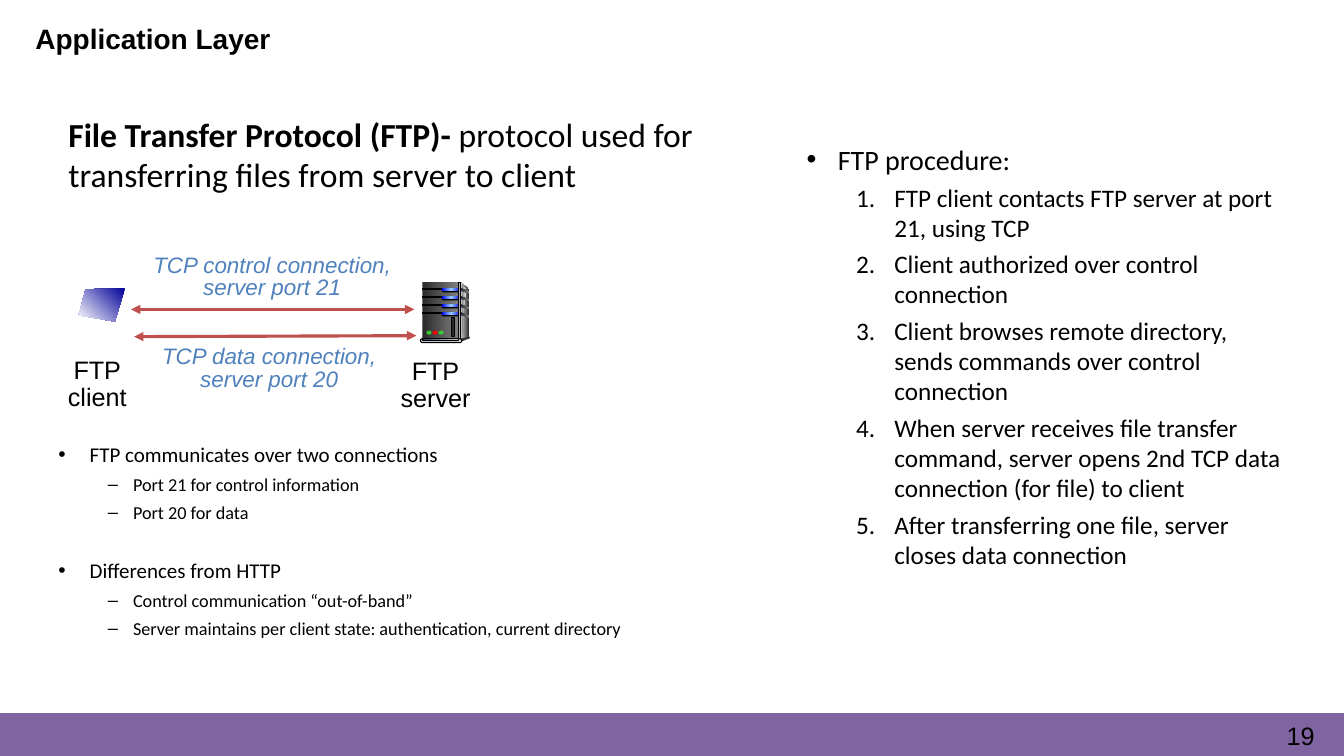
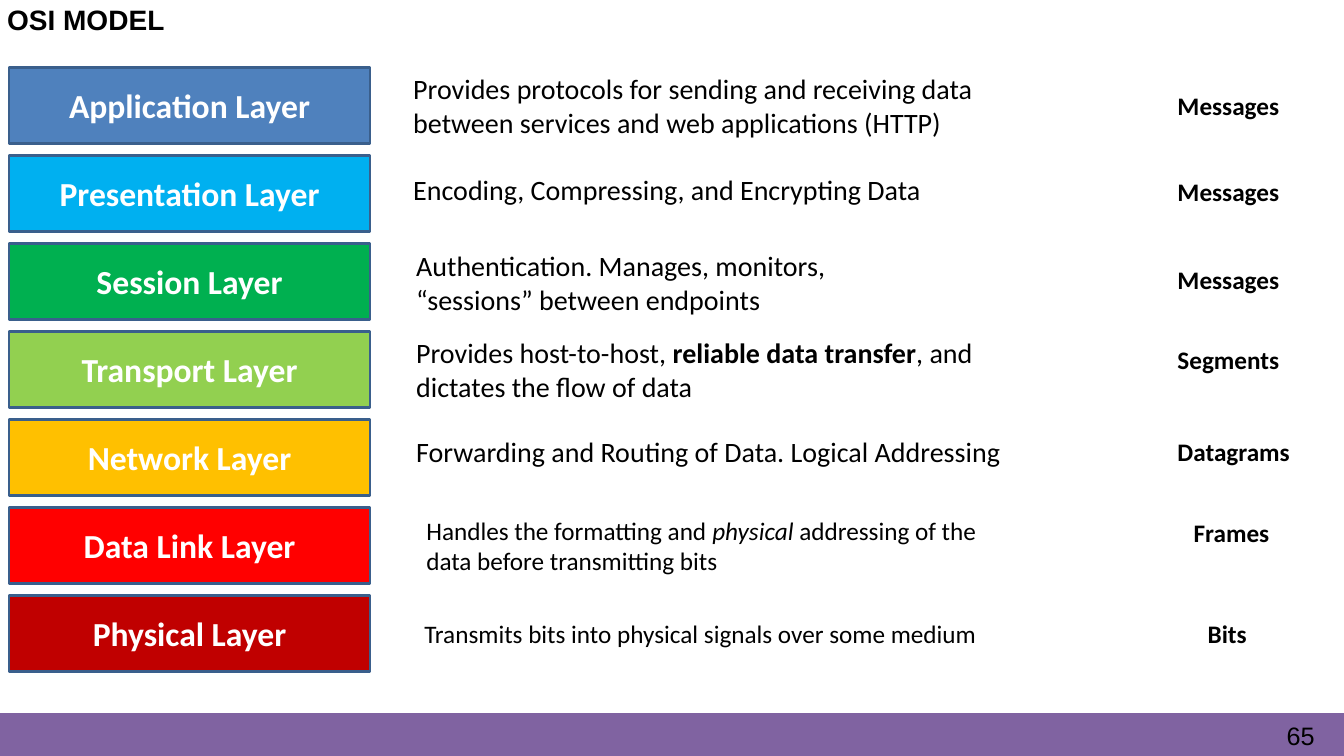
"""Two networking slides: the FTP connections and the OSI layers."""
from dataclasses import dataclass

from lxml import etree
from pptx import Presentation
from pptx import util as u
from pptx.dml.color import RGBColor
from pptx.enum import shapes as kinds, text as tx
from pptx.oxml.ns import qn


@dataclass(frozen=True)
class Theme:
    width: float = 13.33
    height: float = 7.5
    head_font: str = "Arial"
    body_font: str = "Calibri"
    ink: str = "000000"
    paper: str = "FFFFFF"
    band: str = "8063A1"
    arrow: str = "C0504D"
    accent: str = "4F81BD"
    outline: str = "3A5F8C"
    big: int = 24
    title: int = 20
    text: int = 18
    note: int = 16
    list_top: int = 15
    list_sub: int = 13


T = Theme()
BOLD, ITALIC = {"bold": True}, {"italic": True}
CENTER, MIDDLE = tx.PP_ALIGN.CENTER, tx.MSO_ANCHOR.MIDDLE
RECT, PILL, OVAL = (kinds.MSO_SHAPE.RECTANGLE, kinds.MSO_SHAPE.ROUNDED_RECTANGLE,
                    kinds.MSO_SHAPE.OVAL)

FTP_MEANING = [("File Transfer Protocol (FTP)- ", BOLD),
               "protocol used for transferring files from server to client"]
FTP_FACTS = [
    ("FTP communicates over two connections",
     ["Port 21 for control information", "Port 20 for data"]),
    ("Differences from HTTP",
     ["Control communication “out-of-band”",
      "Server maintains per client state: authentication, current directory"]),
]
FTP_PROCEDURE = [("FTP procedure:", [
    "FTP client contacts FTP server at port 21, using TCP",
    "Client authorized over control connection",
    "Client browses remote directory, sends commands over control connection",
    "When server receives file transfer command, server opens 2nd TCP data "
    "connection (for file) to client",
    "After transferring one file, server closes data connection",
])]
FTP_HOSTS = [(["FTP", "client"], (0.57, 3.5, 0.79, 0.65)),
             (["FTP", "server"], (3.87, 3.51, 0.9, 0.65))]
FTP_LINKS = [
    (["TCP control connection,", "server port 21"], (1.38, 2.48, 2.64, 0.56),
     (1.3, 3.07, 4.11, 3.07)),
    (["TCP data connection,", "server port 20"], (1.35, 3.39, 2.64, 0.56),
     (1.33, 3.34, 4.13, 3.33)),
]

# layer, colour, duty, (duty left, width, size, drift), unit, (unit left, drift)
OSI_LAYERS = [
    ("Application Layer", "4F81BD",
     ["Provides protocols for sending and receiving data between services and "
      "web applications (HTTP)"], (4, 6.42, T.title, 0), "Messages", (11.58, 0)),
    ("Presentation Layer", "00B0F0",
     ["Encoding, Compressing, and Encrypting Data"],
     (4, 5.87, T.title, -0.04), "Messages", (11.58, -0.02)),
    ("Session Layer", "00B050",
     ["Authentication. Manages, monitors, “sessions” between endpoints"],
     (4.03, 4.74, T.title, 0.01), "Messages", (11.58, -0.02)),
    ("Transport Layer", "92D050",
     ["Provides host-to-host, ", ("reliable data transfer", BOLD),
      ", and dictates the flow of data"],
     (4.03, 5.83, T.title, 0), "Segments", (11.58, -0.1)),
    ("Network Layer", "FFC000",
     ["Forwarding and Routing of Data. Logical Addressing"],
     (4.03, 6.7, T.title, -0.06), "Datagrams", (11.58, -0.06)),
    ("Data Link Layer", "FF0000",
     ["Handles the formatting and ", ("physical", ITALIC),
      " addressing of the data before transmitting bits"],
     (4.13, 6.15, T.text, 0), "Frames", (11.74, -0.13)),
    ("Physical Layer", "C00000",
     ["Transmits bits into physical signals over some medium"],
     (4.11, 6.3, T.text, 0), "Bits", (11.88, 0)),
]


def inches(values):
    return [u.Inches(value) for value in values]


def write(frame, paragraphs, size=T.text, font=T.body_font, color=T.ink, bold=False,
          italic=False, align=tx.PP_ALIGN.LEFT, anchor=tx.MSO_ANCHOR.TOP,
          leading=None, insets=(0.1, 0.05, 0.1, 0.05)):
    frame.word_wrap, frame.auto_size = True, tx.MSO_AUTO_SIZE.NONE
    frame.vertical_anchor = anchor
    (frame.margin_left, frame.margin_top,
     frame.margin_right, frame.margin_bottom) = inches(insets)
    for number, runs in enumerate(paragraphs):
        line = frame.add_paragraph() if number else frame.paragraphs[0]
        line.alignment, line.line_spacing = align, leading
        for piece in [runs] if isinstance(runs, str) else runs:
            words, style = (piece, {}) if isinstance(piece, str) else piece
            run = line.add_run()
            run.text = words
            run.font.name, run.font.size = font, u.Pt(size)
            run.font.color.rgb = RGBColor.from_string(color)
            run.font.bold = style.get("bold", bold)
            run.font.italic = style.get("italic", italic)


def label(slide, box, paragraphs, **style):
    write(slide.shapes.add_textbox(*inches(box)).text_frame, paragraphs, **style)


def place(part, box):
    part.left, part.top, part.width, part.height = inches(box)


def outline_list(body, box, groups, sizes, sub_bullet, sub_indent, group_gap=0.0):
    place(body, box)
    lines = [(level, words) for head, subs in groups
             for level, words in [(0, head)] + [(1, sub) for sub in subs]]
    write(body.text_frame, [words for _, words in lines])
    bullets = (("buChar", "char", "•"), sub_bullet)
    indents = ((0.38, -0.31), sub_indent)
    gaps = (4.8 + group_gap, 4.4)
    for number, (line, (level, _)) in enumerate(zip(body.text_frame.paragraphs, lines)):
        line.level = level
        line.space_before = u.Pt(gaps[level] if number else 0)
        props = line._p.get_or_add_pPr()
        for key, value in zip(("marL", "indent"), indents[level]):
            props.set(key, str(u.Inches(value)))
        tag, key, value = bullets[level]
        etree.SubElement(props, qn("a:" + tag)).set(key, value)
        line.runs[0].font.size = u.Pt(sizes[level])


def paint(part, fill, line=None, weight=0.75, angle=0):
    part.shadow.inherit = False
    if isinstance(fill, str):
        part.fill.solid()
        part.fill.fore_color.rgb = RGBColor.from_string(fill)
    else:
        part.fill.gradient()
        part.fill.gradient_angle = angle
        stops = part.element.spPr.find(".//" + qn("a:gsLst"))
        for stop in list(stops):
            stops.remove(stop)
        for number, color in enumerate(fill):
            stop = etree.SubElement(stops, qn("a:gs"))
            stop.set("pos", str(100000 * number // (len(fill) - 1)))
            etree.SubElement(stop, qn("a:srgbClr")).set("val", color)
    if line:
        part.line.color.rgb = RGBColor.from_string(line)
        part.line.width = u.Pt(weight)
    else:
        part.line.fill.background()


def block(slide, kind, box, fill, line=None, weight=0.75):
    part = slide.shapes.add_shape(kind, *inches(box))
    if kind == PILL:
        part.adjustments[0] = 0.5
    paint(part, fill, line, weight)
    return part


def polygon(slide, points, fill, angle=0):
    corners = [inches(point) for point in points]
    builder = slide.shapes.build_freeform(*corners[0])
    builder.add_line_segments(corners[1:], close=True)
    paint(builder.convert_to_shape(), fill, angle=angle)


def double_arrow(slide, ends):
    link = slide.shapes.add_connector(kinds.MSO_CONNECTOR.STRAIGHT, *inches(ends))
    link.line.color.rgb = RGBColor.from_string(T.arrow)
    link.line.width = u.Pt(2.25)
    props = link.element.spPr
    for end in ("headEnd", "tailEnd"):
        etree.SubElement(props.find(qn("a:ln")), qn("a:" + end)).set("type", "triangle")
    etree.SubElement(props, qn("a:effectLst"))


def server(slide):
    black, dark, pale = T.ink, "333333", "DDDDDD"
    shade, glow = ("292929", "808080"), ("0000FF", "99CCFF", "0000FF")
    polygon(slide, [(4.57, 2.8), (4.65, 2.87), (4.65, 3.34), (4.56, 3.37)], (pale, dark))
    block(slide, RECT, (4.19, 2.8, 0.36, 0.57), shade)
    polygon(slide, [(4.58, 2.83), (4.63, 2.88), (4.6, 3.05), (4.58, 3.35)],
            ("808080", "F8F8F8"))
    for row in range(4):
        y = 2.86 + 0.08 * row
        block(slide, RECT, (4.19, y, 0.2, 0.01), black, black)
        block(slide, PILL, (4.38, y, 0.2, 0.04), black)
        block(slide, PILL, (4.38, y, 0.19, 0.03), glow)
        polygon(slide, [(4.57, y), (4.65, y + 0.03), (4.65, y + 0.05), (4.57, y + 0.02)],
                shade)
    block(slide, RECT, (4.55, 2.8, 0.02, 0.57), (dark, pale, dark), black)
    block(slide, OVAL, (4.64, 3.34, 0.02, 0.02), dark)
    polygon(slide, [(4.57, 3.36), (4.57, 3.39), (4.65, 3.36), (4.65, 3.34)], dark)
    block(slide, PILL, (4.17, 3.36, 0.41, 0.04), pale, black)
    block(slide, PILL, (4.19, 3.36, 0.36, 0.02), ("1F497D", "EEECE1"), black)
    for lamp, color in enumerate(("33CC33", "FF0000", "33CC33")):
        block(slide, OVAL, (4.23 + 0.06 * lamp, 3.28, 0.05, 0.04), color)
    block(slide, RECT, (4.48, 3.15, 0.03, 0.19), "292929", black)


def new_slide(deck, layout, heading, corner, page):
    slide = deck.slides.add_slide(deck.slide_layouts[layout])
    place(slide.shapes.title, (*corner, 6.15, 0.44))
    write(slide.shapes.title.text_frame, [heading], size=T.title, font=T.head_font,
          bold=True, insets=(0.24, 0.1, 0, 0))
    label(slide, (12.58, 7.15, 0.71, 0.31), [page], font=T.head_font,
          insets=(0.18, 0, 0, 0))
    return slide


def add_band(deck, slide):
    band = block(slide, RECT, (0, 7.08, T.width, T.height - 7.08), T.band, T.band, 1)
    band.element.nvSpPr.cNvPr.set("id", "99")
    deck.slide_master.shapes.element.append(band.element)


def ftp_slide(deck):
    slide = new_slide(deck, 3, "Application Layer", (0.11, 0.11), "19")
    add_band(deck, slide)
    label(slide, (0.58, 1.08, 7, 0.91), [FTP_MEANING], size=T.big)
    for words, box in FTP_HOSTS:
        label(slide, box, words, font=T.head_font, align=CENTER, leading=0.9)
    for words, box, ends in FTP_LINKS:
        double_arrow(slide, ends)
        label(slide, box, words, size=T.note, font=T.head_font, color=T.accent,
              italic=True, align=CENTER, leading=0.85)
    server(slide)
    polygon(slide, [(1.24, 2.86), (0.85, 2.87), (0.78, 3.13), (1.14, 3.19)],
            ("000099", T.paper), angle=225)
    outline_list(slide.placeholders[1], (0.41, 4.33, 6.3, 2.35), FTP_FACTS,
                 (T.list_top, T.list_sub), ("buChar", "char", "–"), (0.81, -0.25), 20.3)
    outline_list(slide.placeholders[2], (7.83, 1.36, 4.98, 5.28), FTP_PROCEDURE,
                 (T.title, T.text), ("buAutoNum", "type", "arabicPeriod"), (0.94, -0.38))


def osi_slide(deck):
    slide = new_slide(deck, 5, "OSI MODEL", (-0.17, -0.08), "65")
    first, last, tall = 0.67, 5.91, 0.75
    pitch = (last - first) / (len(OSI_LAYERS) - 1)
    for row, (layer, color, duty, duty_spot, unit, unit_spot) in enumerate(OSI_LAYERS):
        top = first + row * pitch
        box = block(slide, RECT, (0.09, top, 3.58, tall), color, T.outline, 2)
        write(box.text_frame, [layer], size=T.big, color=T.paper, bold=True,
              align=CENTER, anchor=MIDDLE)
        left, wide, size, drift = duty_spot
        label(slide, (left, top + drift, wide, tall), [duty], size=size, anchor=MIDDLE)
        left, drift = unit_spot
        label(slide, (left, top + drift, 1.45, tall), [unit], bold=True, anchor=MIDDLE)


def main():
    deck = Presentation()
    deck.slide_width, deck.slide_height = inches((T.width, T.height))
    ftp_slide(deck)
    osi_slide(deck)
    deck.save("out.pptx")


if __name__ == "__main__":
    main()
